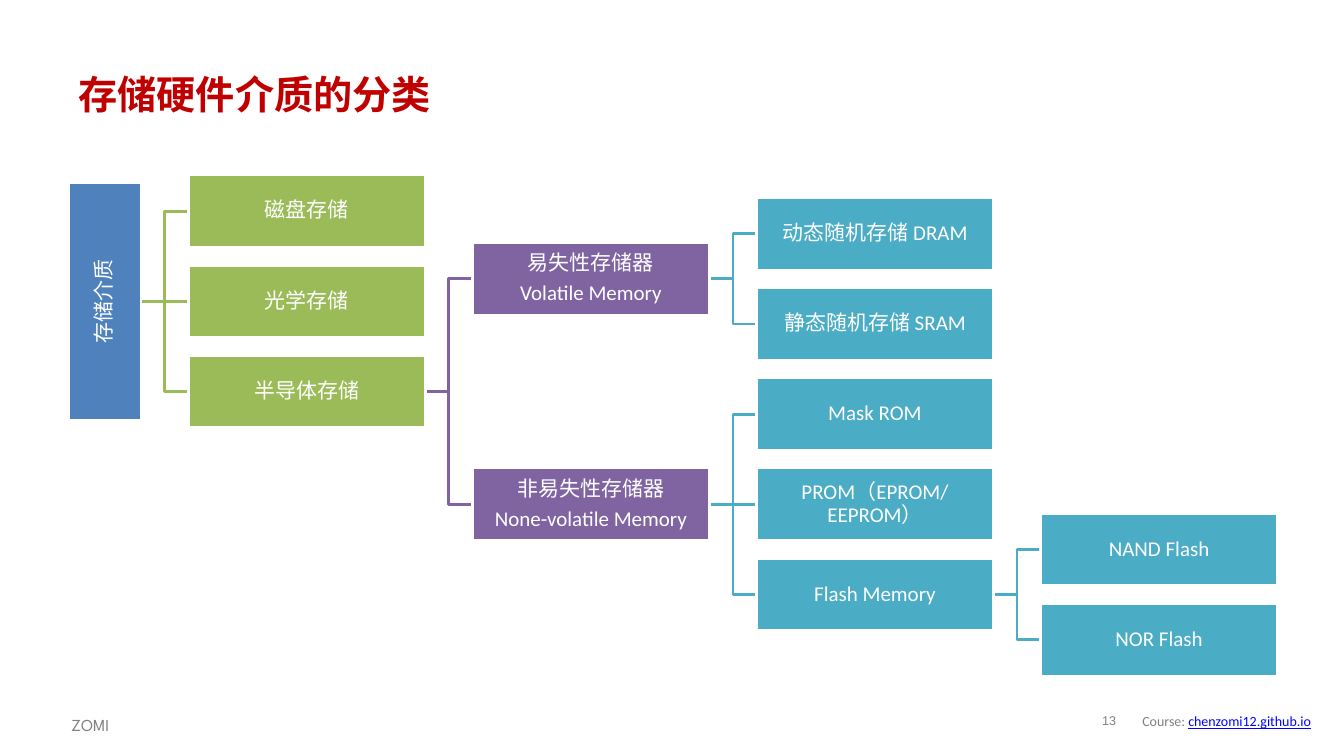
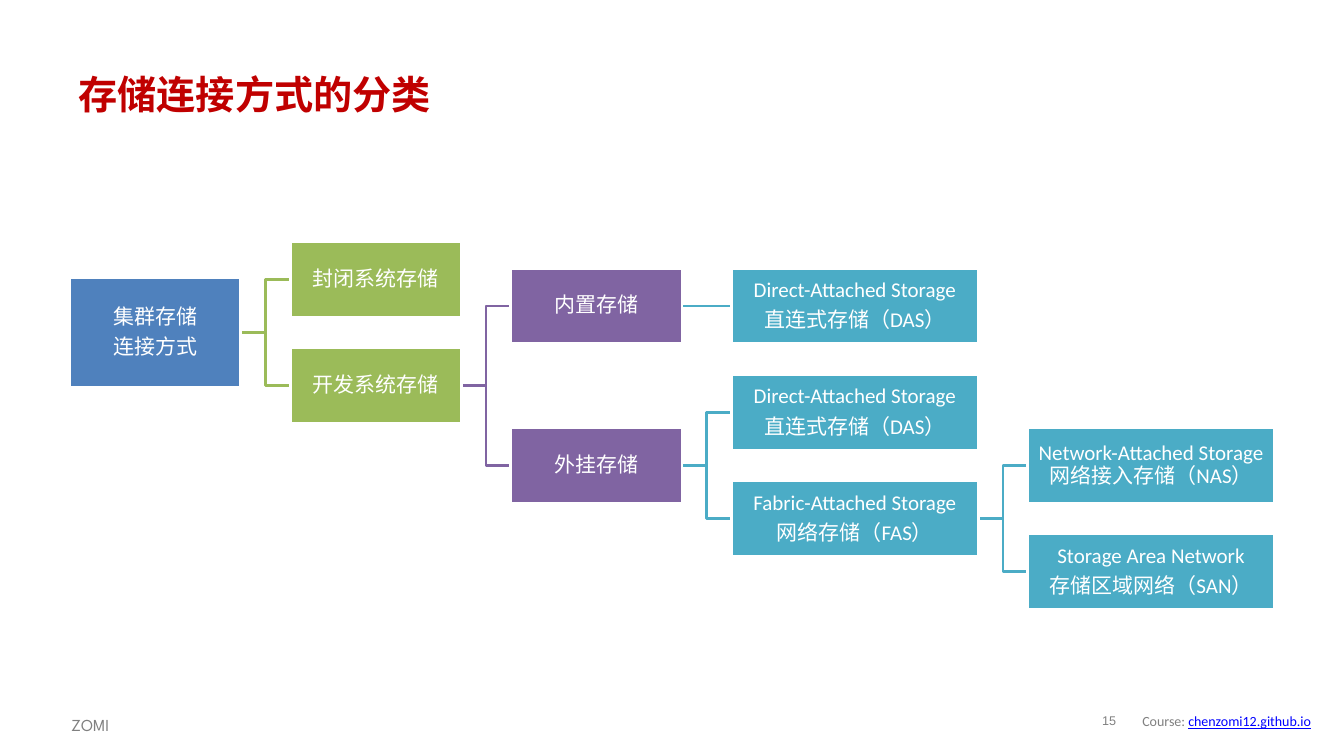
from dataclasses import dataclass
from typing import Any

from lxml import etree
from pptx import Presentation
from pptx import util as u
from pptx.dml.color import RGBColor
from pptx.enum import shapes, text
from pptx.oxml import ns


@dataclass(frozen=True)
class Theme:
    title: RGBColor = RGBColor(0xC0, 0x00, 0x00)
    footer: RGBColor = RGBColor(0x80, 0x80, 0x80)
    link: RGBColor = RGBColor(0x00, 0x00, 0xFF)
    white: RGBColor = RGBColor(0xFF, 0xFF, 0xFF)
    levels: tuple[RGBColor, ...] = (
        RGBColor(0x4F, 0x81, 0xBD),
        RGBColor(0x9B, 0xBB, 0x59),
        RGBColor(0x80, 0x64, 0xA2),
        RGBColor(0x4B, 0xAC, 0xC6),
    )
    display_font: str = "League Spartan"
    body_font: str = "Calibri"
    number_font: str = "Arial"
    title_size: int = 28
    box_size: int = 15
    brand_size: int = 12
    course_size: int = 10
    number_size: int = 9
    line_width: int = 2

    def level_color(self, level: int) -> RGBColor:
        return self.levels[min(level, len(self.levels) - 1)]


THEME = Theme()


@dataclass(frozen=True)
class Node:
    """A box of the tree; spread is the distance between its children in rows."""
    lines: tuple[str, ...]
    children: tuple["Node", ...] = ()
    spread: float = 1


@dataclass(frozen=True)
class Tree:
    root: Node
    left: float
    root_middle: float
    root_height: float
    box_height: float
    four_rows: float
    column_gap: float
    widths: tuple[float, ...]
    vertical_root: bool = False

    def column_left(self, level: int) -> float:
        return self.left + sum(self.widths[:level]) + level * self.column_gap


@dataclass(frozen=True)
class Page:
    title: str
    number: str
    tree: Tree


@dataclass(frozen=True)
class Run:
    text: str
    font: str
    size: int
    color: RGBColor
    bold: bool = False
    underline: bool = False


@dataclass(frozen=True)
class Footer:
    left: float
    top: float
    width: float
    height: float
    runs: tuple[Run, ...]
    paragraph_format: dict[str, Any]
    frame_format: dict[str, Any]


NO_MARGINS = {f"margin_{side}": 0 for side in ("left", "top", "right", "bottom")}
BOX_MARGINS = {name: u.Inches(0.01) for name in NO_MARGINS}
MIDDLE = {"vertical_anchor": text.MSO_ANCHOR.MIDDLE, "word_wrap": True}
BOX_PARAGRAPH = {
    "alignment": text.PP_ALIGN.CENTER,
    "line_spacing": 0.9,
    "space_after": u.Pt(5.25),
}


def apply_format(target: Any, values: dict[str, Any]) -> None:
    for name, value in values.items():
        setattr(target, name, value)


def add_run(paragraph: Any, run: Run) -> None:
    text_run = paragraph.add_run()
    text_run.text = run.text
    apply_format(text_run.font, {
        "name": run.font,
        "size": u.Pt(run.size),
        "bold": run.bold,
        "underline": run.underline,
    })
    text_run.font.color.rgb = run.color


def add_title(slide: Any, title: str) -> None:
    placeholder = slide.shapes.title
    apply_format(placeholder, {
        "left": u.Inches(0.68),
        "top": u.Inches(0.61),
        "width": u.Inches(11.99),
        "height": u.Inches(0.64),
    })
    apply_format(placeholder.text_frame, MIDDLE)
    paragraph = placeholder.text_frame.paragraphs[0]
    paragraph.alignment = text.PP_ALIGN.LEFT
    add_run(paragraph, Run(title, THEME.display_font, THEME.title_size,
                           THEME.title, bold=True))


def add_footers(slide: Any, number: str) -> None:
    course = Run("Course: ", THEME.body_font, THEME.course_size, THEME.footer)
    link = Run("chenzomi12.github.io", THEME.body_font, THEME.course_size,
               THEME.link, underline=True)
    author = Run("ZOMI", THEME.display_font, THEME.brand_size, THEME.footer)
    page = Run(number, THEME.number_font, THEME.number_size, THEME.footer)
    footers = (
        Footer(0.61, 7, 0.8, 0.32, (author,), {"line_spacing": 1.2},
               {"word_wrap": True}),
        Footer(10.65, 7.01, 2.46, 0.29, (course, link),
               {"alignment": text.PP_ALIGN.RIGHT}, MIDDLE),
        Footer(10.83, 7, 0.36, 0.31, (page,),
               {"alignment": text.PP_ALIGN.CENTER, "line_spacing": 0.85},
               MIDDLE | NO_MARGINS),
    )
    for footer in footers:
        box = slide.shapes.add_textbox(
            u.Inches(footer.left), u.Inches(footer.top),
            u.Inches(footer.width), u.Inches(footer.height))
        apply_format(box.text_frame, footer.frame_format)
        paragraph = box.text_frame.paragraphs[0]
        apply_format(paragraph, footer.paragraph_format)
        for run in footer.runs:
            add_run(paragraph, run)


def add_box(slide: Any, tree: Tree, node: Node, level: int, middle: float) -> Any:
    height = tree.box_height if level else tree.root_height
    box = slide.shapes.add_shape(
        shapes.MSO_SHAPE.RECTANGLE,
        u.Inches(tree.column_left(level)), u.Inches(middle - height / 2),
        u.Inches(tree.widths[level]), u.Inches(height))
    box.shadow.inherit = False
    box.fill.solid()
    box.fill.fore_color.rgb = THEME.level_color(level)
    box.line.color.rgb = THEME.white
    box.line.width = u.Pt(THEME.line_width)
    frame = box.text_frame
    apply_format(frame, MIDDLE | BOX_MARGINS)
    if tree.vertical_root and level == 0:
        frame._txBody.bodyPr.set("vert", "vert270")
    for index, line in enumerate(node.lines):
        paragraph = frame.add_paragraph() if index else frame.paragraphs[0]
        apply_format(paragraph, BOX_PARAGRAPH)
        add_run(paragraph, Run(line, THEME.body_font, THEME.box_size, THEME.white))
    return box


def join_boxes(slide: Any, parent: Any, child: Any, straight: bool,
               color: RGBColor) -> None:
    """Join parent to child with a connector that lies behind both boxes."""
    kind = shapes.MSO_CONNECTOR.STRAIGHT if straight else shapes.MSO_CONNECTOR.ELBOW
    connector = slide.shapes.add_connector(kind, 0, 0, 0, 0)
    connector.begin_connect(parent, 3)
    connector.end_connect(child, 1)
    connector.line.color.rgb = color
    connector.line.width = u.Pt(THEME.line_width)
    etree.SubElement(connector.element.spPr, ns.qn("a:effectLst"))
    parent.element.addprevious(connector.element)


def add_branch(slide: Any, tree: Tree, node: Node, level: int, middle: float) -> Any:
    """Draw a node and, centred on it, its children; return the node's box."""
    box = add_box(slide, tree, node, level, middle)
    step = node.spread * tree.four_rows / 4
    for index, child in enumerate(node.children):
        offset = (index - (len(node.children) - 1) / 2) * step
        child_box = add_branch(slide, tree, child, level + 1, middle + offset)
        join_boxes(slide, box, child_box, offset == 0,
                   THEME.level_color(level + 1))
    return box


VOLATILE = Node(("易失性存储器", "Volatile Memory"), (
    Node(("动态随机存储 DRAM",)),
    Node(("静态随机存储 SRAM",)),
))
NON_VOLATILE = Node(("非易失性存储器", "None-volatile Memory"), (
    Node(("Mask ROM",)),
    Node(("PROM（EPROM/EEPROM）",)),
    Node(("Flash Memory",), (Node(("NAND Flash",)), Node(("NOR Flash",)))),
))
MEDIA = Node(("存储介质",), (
    Node(("磁盘存储",)),
    Node(("光学存储",)),
    Node(("半导体存储",), (VOLATILE, NON_VOLATILE), spread=2.5),
))

DIRECT = Node(("Direct-Attached Storage", "直连式存储（DAS）"))
FABRIC = Node(("Fabric-Attached Storage", "网络存储（FAS）"), (
    Node(("Network-Attached Storage网络接入存储（NAS）",)),
    Node(("Storage Area Network", "存储区域网络（SAN）")),
))
CONNECTION = Node(("集群存储", "连接方式"), (
    Node(("封闭系统存储",)),
    Node(("开发系统存储",), (
        Node(("内置存储",), (DIRECT,)),
        Node(("外挂存储",), (DIRECT, FABRIC)),
    ), spread=1.5),
))

PAGES = (
    Page("存储硬件介质的分类", "13", Tree(
        MEDIA, left=0.68, root_middle=2.99, root_height=2.36, box_height=0.72,
        four_rows=3.58, column_gap=0.47, widths=(0.72, 2.35, 2.35, 2.35, 2.35),
        vertical_root=True)),
    Page("存储连接方式的分类", "15", Tree(
        CONNECTION, left=0.69, root_middle=3.3, root_height=1.09, box_height=0.75,
        four_rows=4.21, column_gap=0.49, widths=(1.7, 1.7, 1.7, 2.45, 2.45))),
)


def main() -> None:
    presentation = Presentation()
    presentation.slide_width = u.Inches(13.34)
    presentation.slide_height = u.Inches(7.5)
    title_only = presentation.slide_layouts[5]
    for page in PAGES:
        slide = presentation.slides.add_slide(title_only)
        add_footers(slide, page.number)
        add_title(slide, page.title)
        add_branch(slide, page.tree, page.tree.root, 0, page.tree.root_middle)
    presentation.save("out.pptx")


if __name__ == "__main__":
    main()
